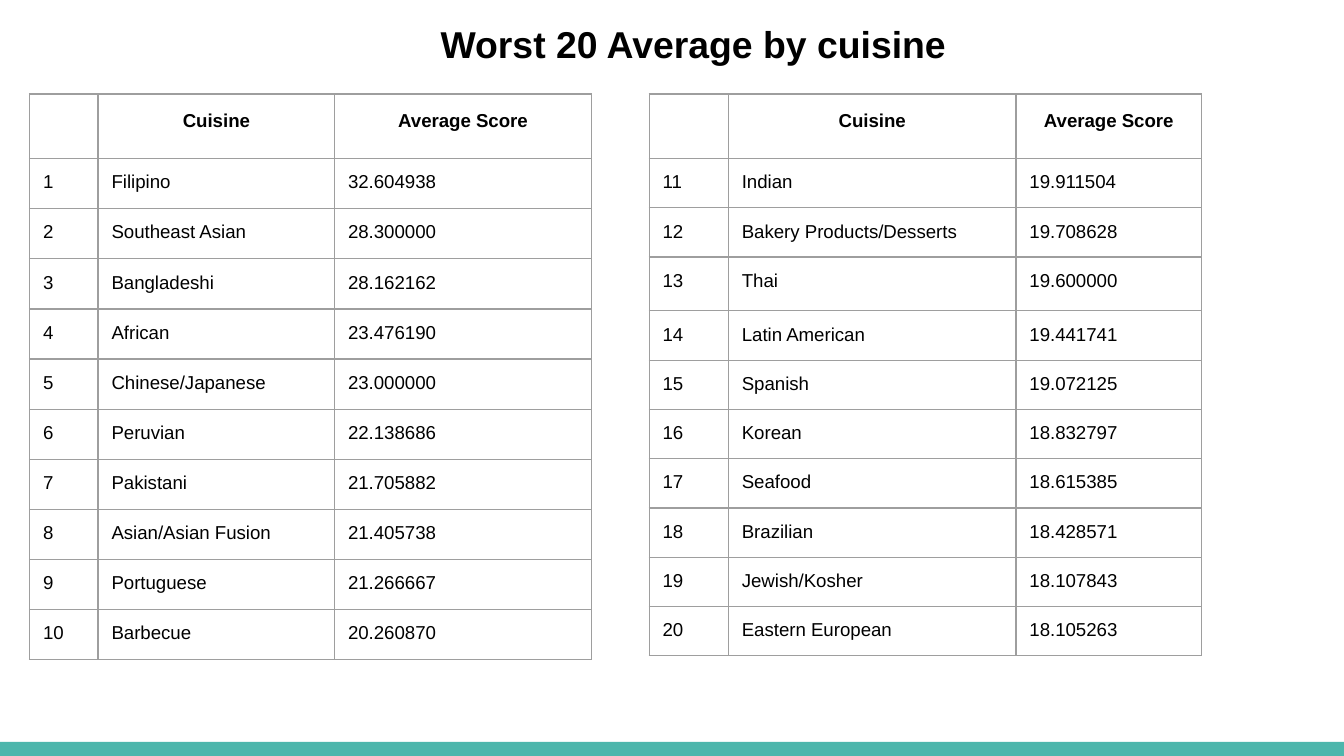
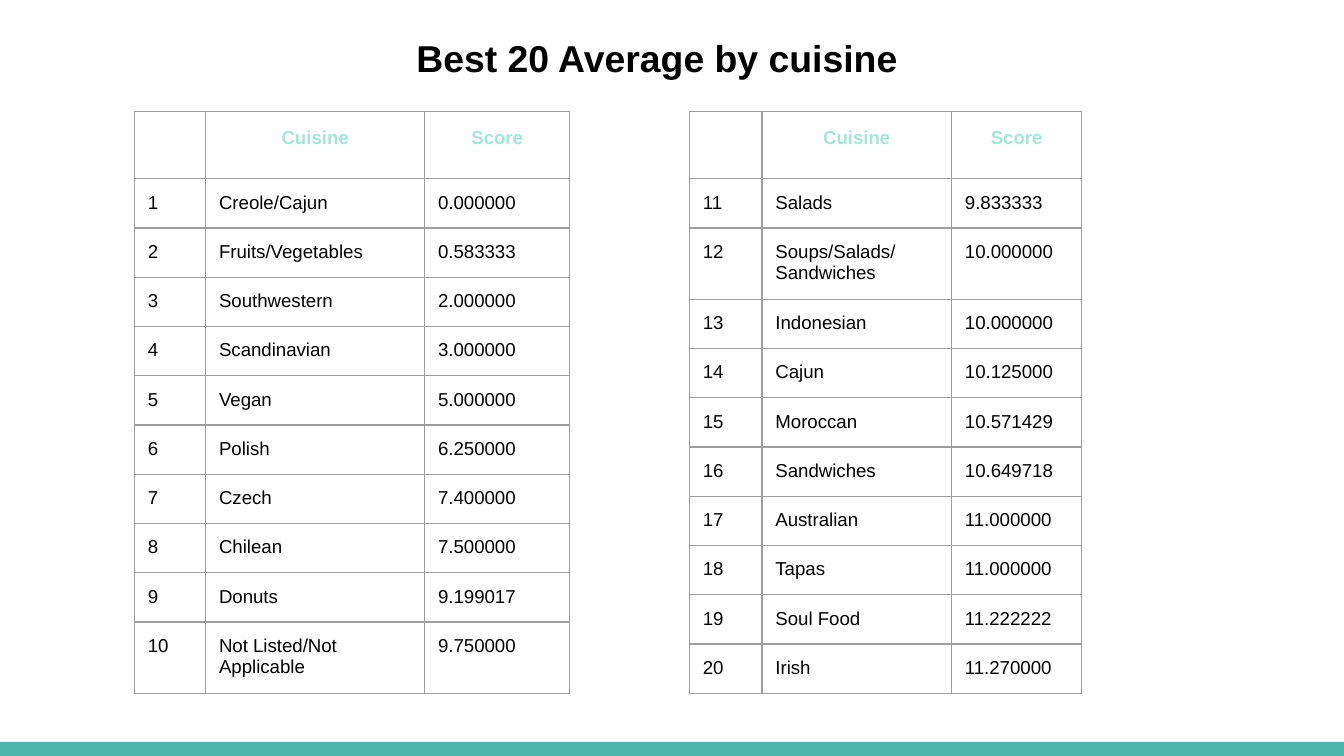
from lxml import etree
from pptx import Presentation
from pptx.dml.color import RGBColor
from pptx.enum import shapes, text
from pptx.oxml import ns
from pptx.util import Inches, Pt

FONT = "Arial"
COLORS = {"black": "000000", "band": "4DB6AC", "grid": "9E9E9E", "mint": "A1E8D9"}

SLIDES = [
    {
        "title": "Worst 20 Average by cuisine",
        "title_box": (0.98, 0.06, 8.36, 0.88),
        "headers": ("", "Cuisine", "Average Score"),
        "header_color": "black",
        "header_height": 0.48,
        "top": 0.7,
        "tables": [
            {
                "left": 0.22, "height": 4.21, "cols": (0.51, 1.76, 1.91),
                "first": 1, "tall": {},
                "rows": [
                    ("Filipino", "32.604938"),
                    ("Southeast Asian", "28.300000"),
                    ("Bangladeshi", "28.162162"),
                    ("African", "23.476190"),
                    ("Chinese/Japanese", "23.000000"),
                    ("Peruvian", "22.138686"),
                    ("Pakistani", "21.705882"),
                    ("Asian/Asian Fusion", "21.405738"),
                    ("Portuguese", "21.266667"),
                    ("Barbecue", "20.260870"),
                ],
            },
            {
                "left": 4.83, "height": 4.18, "cols": (0.59, 2.14, 1.38),
                "first": 11, "tall": {13: 0.4},
                "rows": [
                    ("Indian", "19.911504"),
                    ("Bakery Products/Desserts", "19.708628"),
                    ("Thai", "19.600000"),
                    ("Latin American", "19.441741"),
                    ("Spanish", "19.072125"),
                    ("Korean", "18.832797"),
                    ("Seafood", "18.615385"),
                    ("Brazilian", "18.428571"),
                    ("Jewish/Kosher", "18.107843"),
                    ("Eastern European", "18.105263"),
                ],
            },
        ],
    },
    {
        "title": "Best 20 Average by cuisine",
        "title_box": (0.71, 0.16, 8.36, 0.54),
        "headers": ("", "Cuisine", "Score"),
        "header_color": "mint",
        "header_height": 0.5,
        "top": 0.83,
        "tables": [
            {
                "left": 1, "height": 4.33, "cols": (0.53, 1.63, 1.08),
                "first": 1, "tall": {10: 0.53},
                "rows": [
                    ("Creole/Cajun", "0.000000"),
                    ("Fruits/Vegetables", "0.583333"),
                    ("Southwestern", "2.000000"),
                    ("Scandinavian", "3.000000"),
                    ("Vegan", "5.000000"),
                    ("Polish", "6.250000"),
                    ("Czech", "7.400000"),
                    ("Chilean", "7.500000"),
                    ("Donuts", "9.199017"),
                    ("Not Listed/Not Applicable", "9.750000"),
                ],
            },
            {
                "left": 5.13, "height": 4.33, "cols": (0.54, 1.41, 0.97),
                "first": 11, "tall": {12: 0.53},
                "rows": [
                    ("Salads", "9.833333"),
                    ("Soups/Salads/Sandwiches", "10.000000"),
                    ("Indonesian", "10.000000"),
                    ("Cajun", "10.125000"),
                    ("Moroccan", "10.571429"),
                    ("Sandwiches", "10.649718"),
                    ("Australian", "11.000000"),
                    ("Tapas", "11.000000"),
                    ("Soul Food", "11.222222"),
                    ("Irish", "11.270000"),
                ],
            },
        ],
    },
]


def rgb(name):
    return RGBColor.from_string(COLORS[name])


def set_margins(box):
    box.margin_left = box.margin_right = Inches(0.1)
    box.margin_top = box.margin_bottom = Inches(0.1)


def add_run(p, words, size, color, bold):
    r = p.add_run()
    r.text = words
    r.font.name = FONT
    r.font.size = Pt(size)
    r.font.bold = bold
    r.font.color.rgb = rgb(color)


def add_band(s):
    sp = s.shapes.add_shape(shapes.MSO_SHAPE.RECTANGLE, 0, Inches(5.52), Inches(10), Inches(0.11))
    sp.shadow.inherit = False
    sp.fill.solid()
    sp.fill.fore_color.rgb = rgb("band")
    sp.line.fill.background()


def add_title(s, words, box):
    sp = s.shapes.title
    sp.left, sp.top, sp.width, sp.height = map(Inches, box)
    tf = sp.text_frame
    set_margins(tf)
    tf.word_wrap = True
    tf.auto_size = text.MSO_AUTO_SIZE.NONE
    tf.vertical_anchor = text.MSO_ANCHOR.TOP
    p = tf.paragraphs[0]
    p.alignment = text.PP_ALIGN.CENTER
    add_run(p, words, 20, "black", True)


def add_borders(cell):
    tc_pr = cell._tc.get_or_add_tcPr()
    for side in ("a:lnL", "a:lnR", "a:lnT", "a:lnB"):
        ln = etree.SubElement(tc_pr, ns.qn(side), w=str(Pt(0.75)))
        fill = etree.SubElement(ln, ns.qn("a:solidFill"))
        etree.SubElement(fill, ns.qn("a:srgbClr"), val=COLORS["grid"])


def fill_cell(cell, words, color, header):
    set_margins(cell)
    add_borders(cell)
    cell.fill.background()
    p = cell.text_frame.paragraphs[0]
    if not words:
        etree.SubElement(p._p, ns.qn("a:endParaRPr"), sz="1000")
        return
    if header:
        p.alignment = text.PP_ALIGN.CENTER
        p.line_spacing = 1.15
    add_run(p, words, 10, color, header)


def add_score_table(s, page, part):
    ranked = [(str(n), *row) for n, row in enumerate(part["rows"], part["first"])]
    grid = [page["headers"], *ranked]
    tall = part["tall"]
    rest = part["height"] - page["header_height"] - sum(tall.values())
    row_height = rest / (len(ranked) - len(tall))
    heights = [page["header_height"]]
    heights += [tall.get(int(row[0]), row_height) for row in ranked]

    table = s.shapes.add_table(
        len(grid), len(part["cols"]), Inches(part["left"]), Inches(page["top"]),
        Inches(sum(part["cols"])), Inches(part["height"])).table
    table.first_row = table.horz_banding = False
    for col, width in zip(table.columns, part["cols"]):
        col.width = Inches(width)
    for i, (row, height) in enumerate(zip(grid, heights)):
        table.rows[i].height = Inches(height)
        color = "black" if i else page["header_color"]
        for j, words in enumerate(row):
            fill_cell(table.cell(i, j), words, color, i == 0)


def main():
    prs = Presentation()
    prs.slide_width = Inches(10)
    prs.slide_height = prs.slide_width * 9 // 16
    for page in SLIDES:
        s = prs.slides.add_slide(prs.slide_layouts[5])
        add_band(s)
        add_title(s, page["title"], page["title_box"])
        for part in page["tables"]:
            add_score_table(s, page, part)
    prs.save("out.pptx")


if __name__ == "__main__":
    main()
